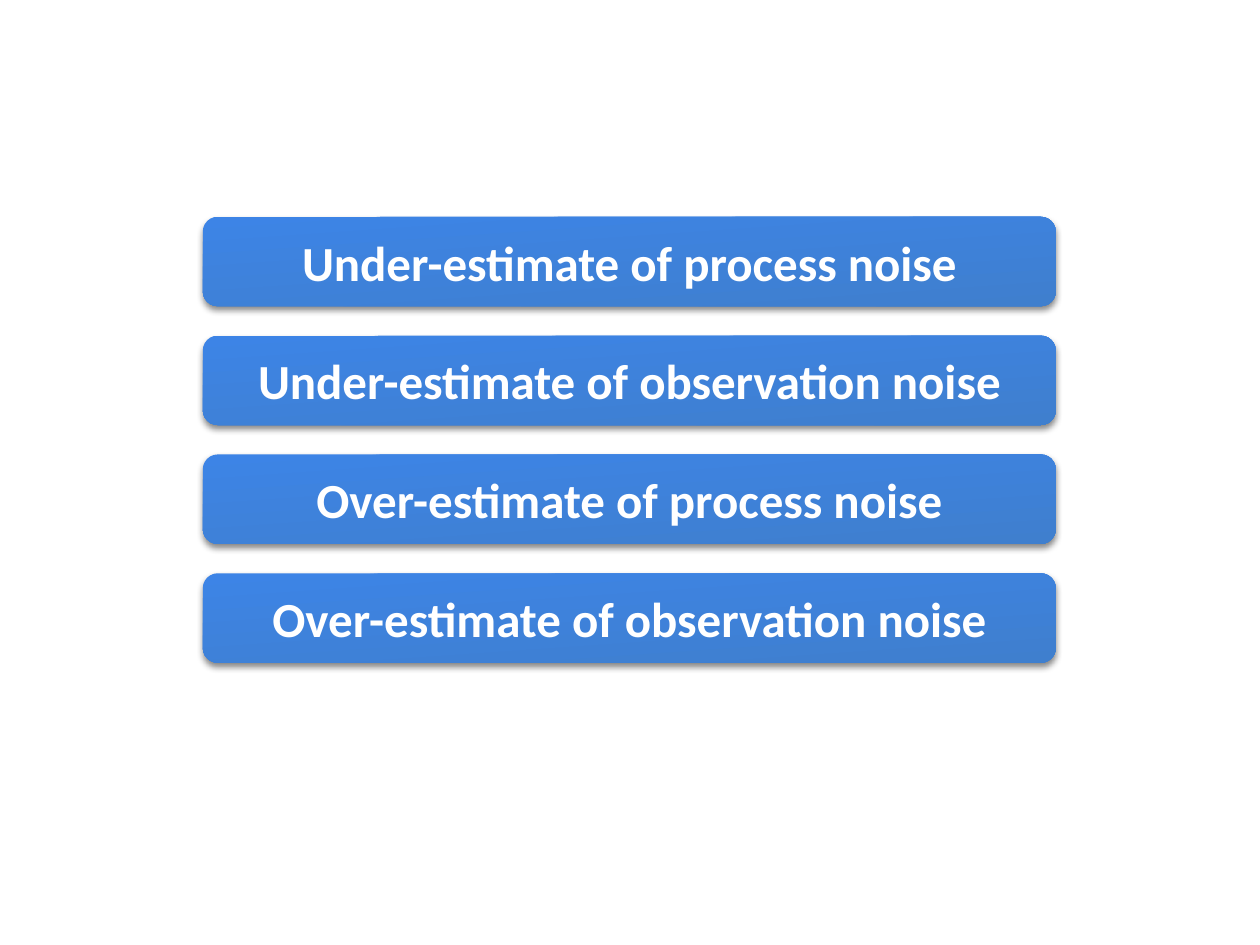
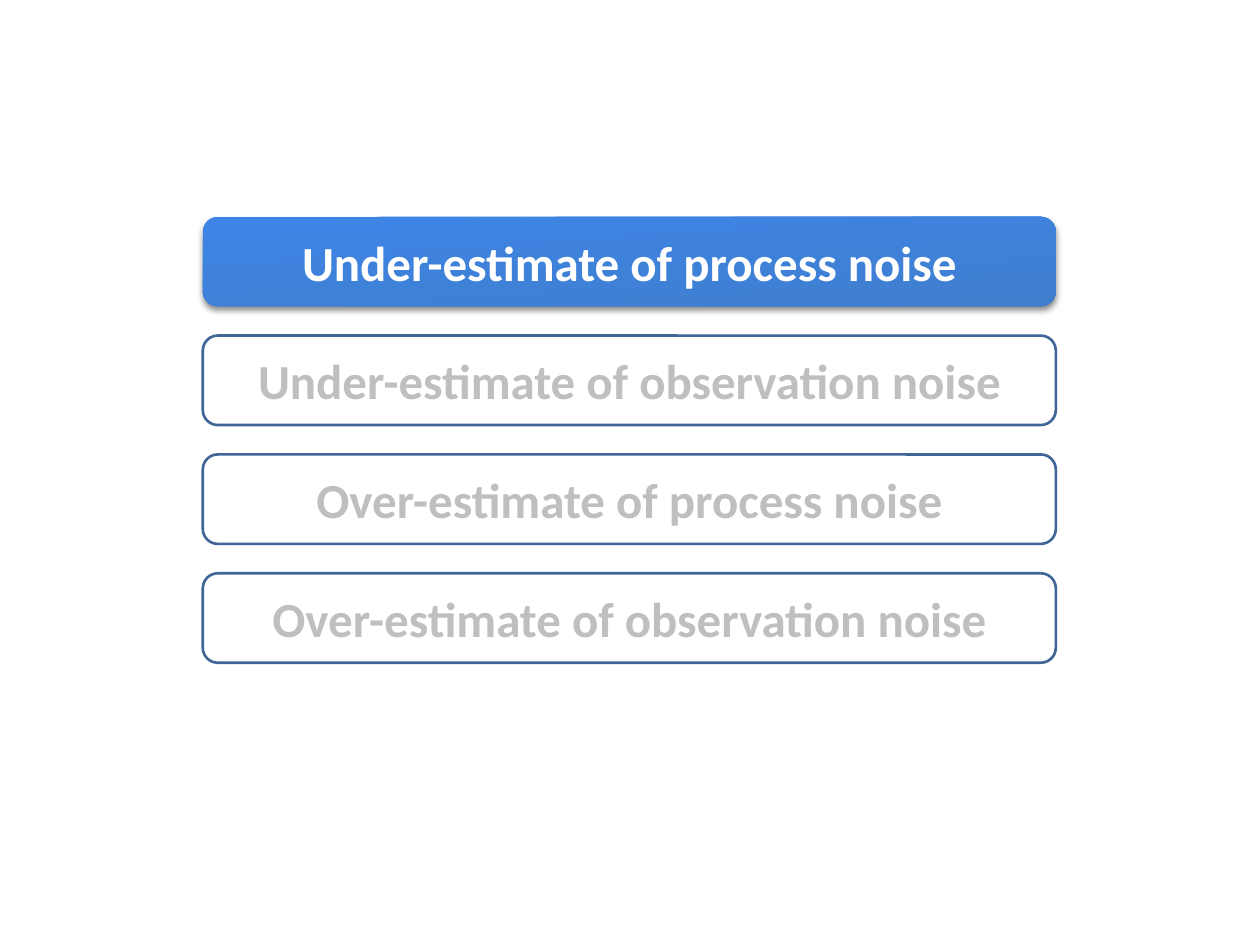
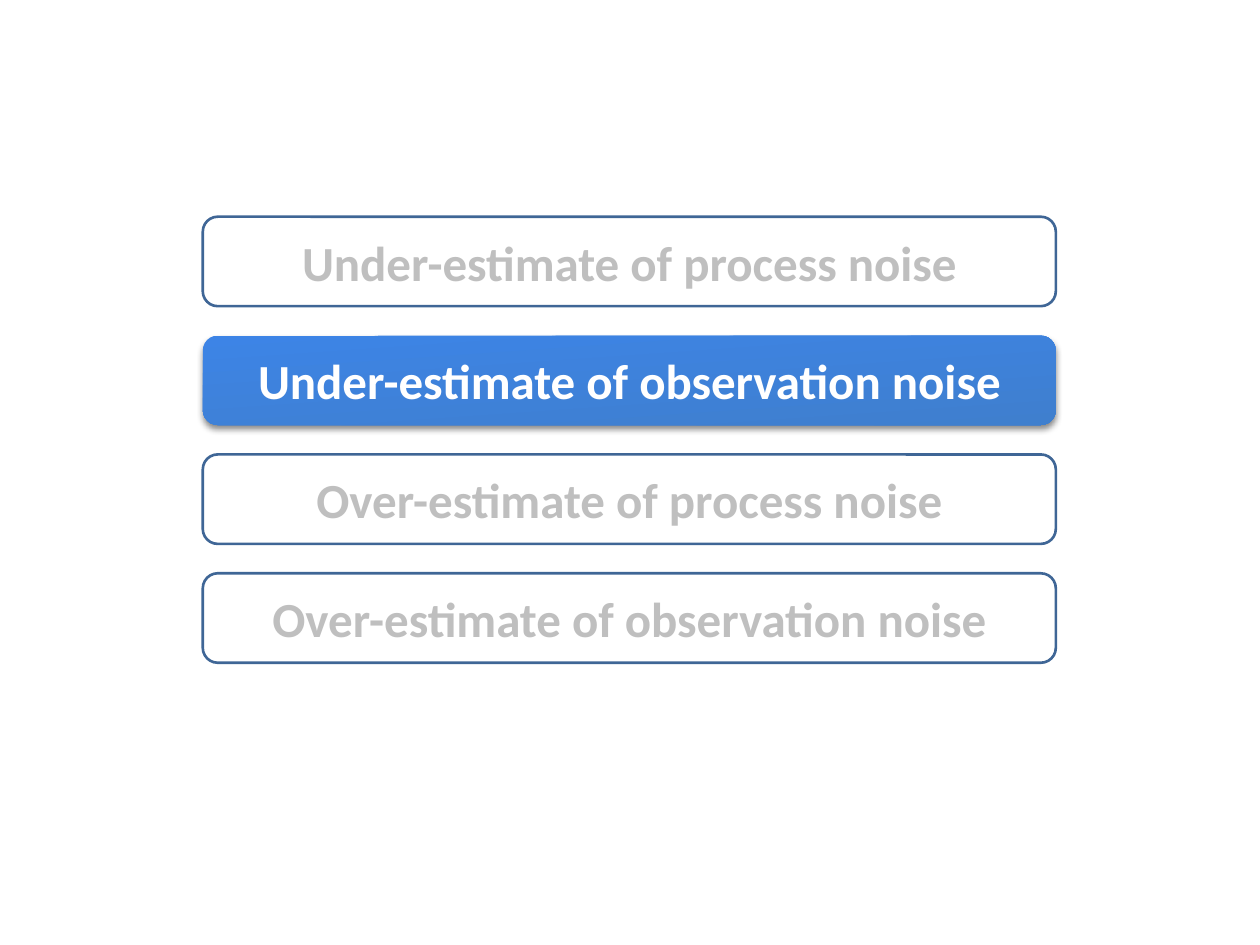
from lxml.etree import SubElement
from pptx import Presentation
from pptx.dml.color import RGBColor
from pptx.enum.shapes import MSO_SHAPE
from pptx.enum.text import MSO_ANCHOR, PP_ALIGN
from pptx.oxml.ns import qn
from pptx.util import Inches, Pt

WHITE = RGBColor(0xFF, 0xFF, 0xFF)
MUTED_TEXT = RGBColor(0xBF, 0xBF, 0xBF)
OUTLINE = RGBColor(0x3F, 0x66, 0x96)
GRADIENT_COLORS = (RGBColor(0x3D, 0x84, 0xE6), RGBColor(0x3F, 0x7F, 0xCE))
SHADOW_COLOR = RGBColor(0x00, 0x00, 0x00)
FONT = "Calibri"

CASES = (
    "Under-estimate of process noise",
    "Under-estimate of observation noise",
    "Over-estimate of process noise",
    "Over-estimate of observation noise",
)
ACTIVE_CASES = (CASES, CASES[:1], CASES[1:2])
LIST_BOX = (Inches(1.61), Inches(1.72), Inches(6.77), Inches(3.54))
BAR_HEIGHT = Inches(0.71)


def write_text(shape, text, *, color, size=28, bold=True, align=PP_ALIGN.CENTER):
    """Write one formatted, vertically centred paragraph in a shape."""
    frame = shape.text_frame
    frame.word_wrap = True
    frame.vertical_anchor = MSO_ANCHOR.MIDDLE
    para = frame.paragraphs[0]
    para.alignment = align
    span = para.add_run()
    span.text = text
    span.font.name = FONT
    span.font.size = Pt(size)
    span.font.bold = bold
    span.font.color.rgb = color


def add_shadow(shape):
    """Give a shape a soft shadow straight below it."""
    effects = shape._element.spPr.find(qn("a:effectLst"))
    shadow = SubElement(effects, qn("a:outerShdw"), blurRad=str(Pt(4)),
                        dist=str(Pt(2)), dir="5400000", rotWithShape="0")
    color = SubElement(shadow, qn("a:srgbClr"), val=str(SHADOW_COLOR))
    SubElement(color, qn("a:alpha"), val="48000")


def style_active(bar):
    """Fill a bar with the blue gradient and lift it with a shadow."""
    bar.fill.gradient()
    bar.fill.gradient_angle = 274
    for stop, color in zip(bar.fill.gradient_stops, GRADIENT_COLORS):
        stop.color.rgb = color
    bar.line.fill.background()
    add_shadow(bar)


def style_muted(bar):
    """Make a bar white with a thin blue outline."""
    bar.fill.solid()
    bar.fill.fore_color.rgb = WHITE
    bar.line.color.rgb = OUTLINE
    bar.line.width = Pt(1.5)


def add_bar(page, text, box, active):
    """Add one rounded bar, highlighted when its case is active."""
    bar = page.shapes.add_shape(MSO_SHAPE.ROUNDED_RECTANGLE, *box)
    bar.shadow.inherit = False
    if active:
        style_active(bar)
    else:
        style_muted(bar)
    write_text(bar, text, color=WHITE if active else MUTED_TEXT)


def add_case_list(page, box, active_cases):
    """Spread the case bars evenly over the height of a box."""
    left, top, width, height = box
    step = (height - BAR_HEIGHT) // (len(CASES) - 1)
    for row, case in enumerate(CASES):
        bar_box = (left, top + row * step, width, BAR_HEIGHT)
        add_bar(page, case, bar_box, case in active_cases)


def main():
    """Build the deck, one page for each set of active cases."""
    deck = Presentation()
    deck.slide_width, deck.slide_height = Inches(10), Inches(7.5)
    blank_layout = deck.slide_layouts.get_by_name("Blank")
    for active_cases in ACTIVE_CASES:
        page = deck.slides.add_slide(blank_layout)
        add_case_list(page, LIST_BOX, active_cases)
    deck.save("out.pptx")


if __name__ == "__main__":
    main()
